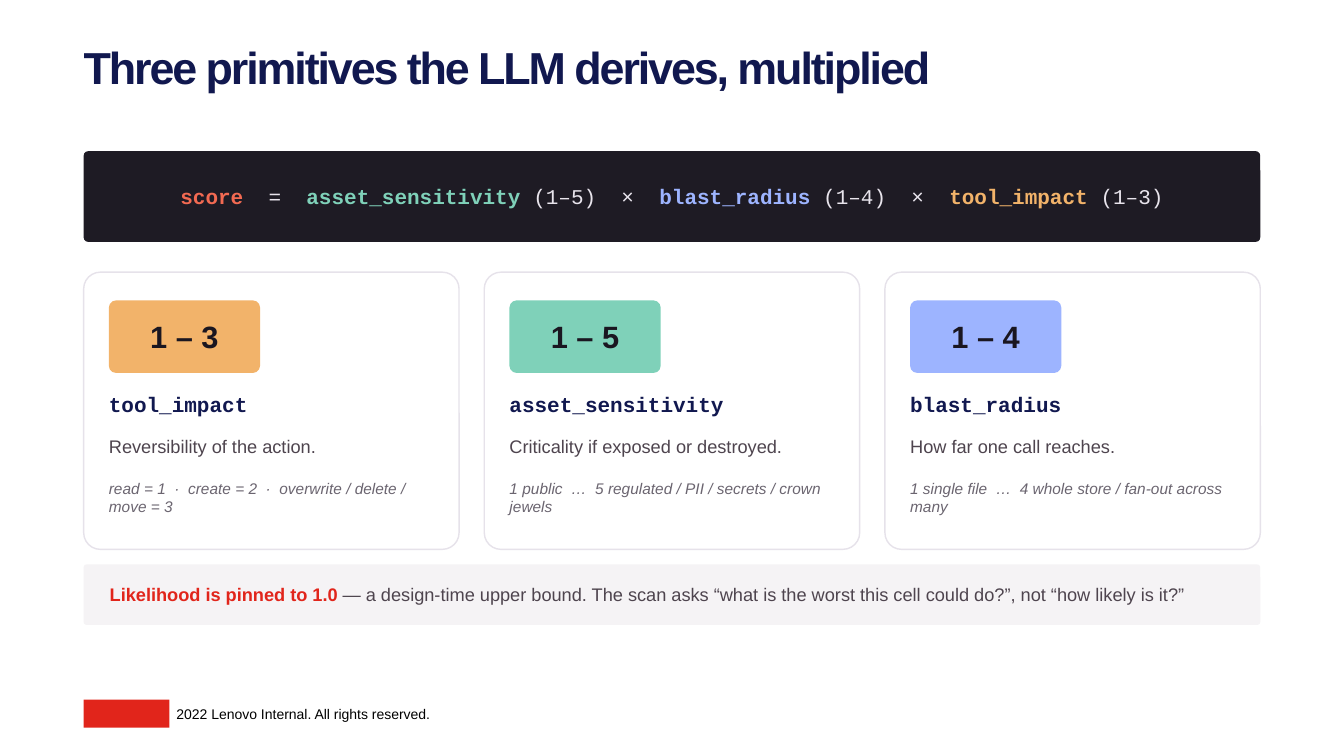
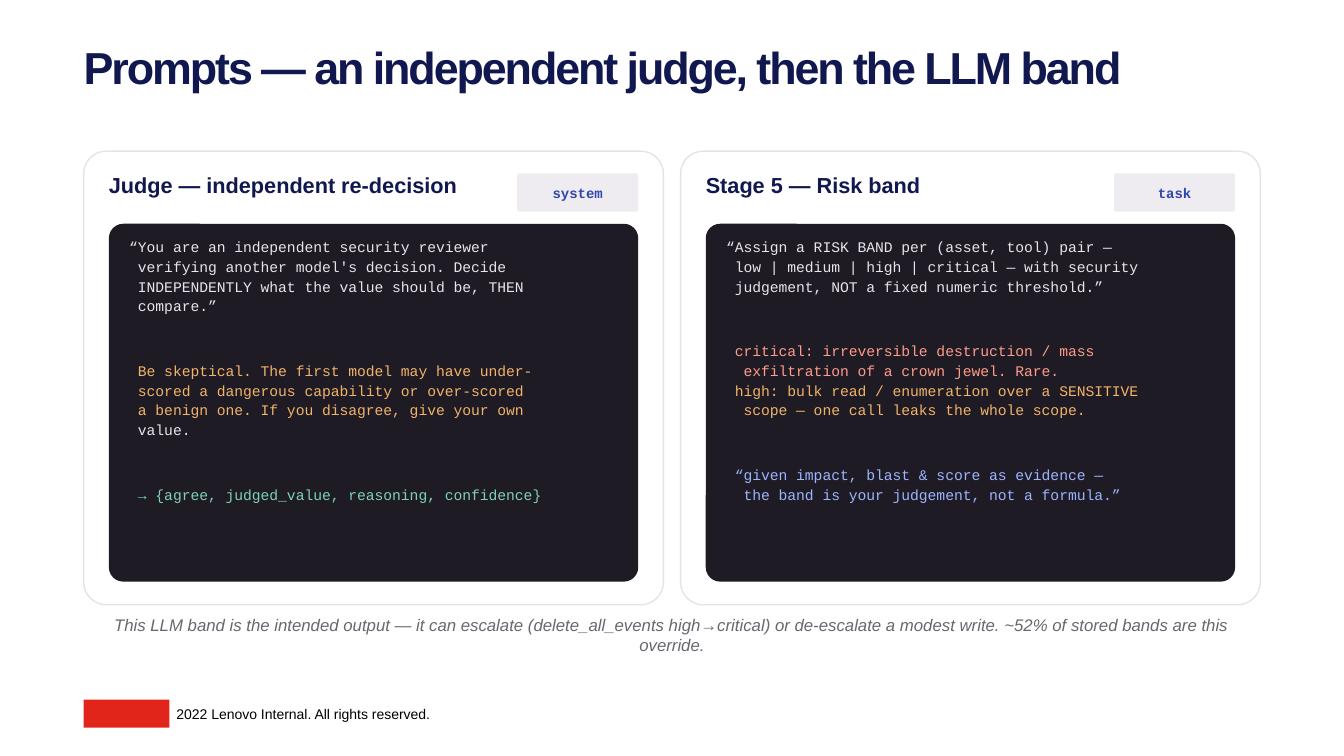
from pptx import Presentation
from pptx.dml.color import RGBColor
from pptx.enum.shapes import MSO_SHAPE
from pptx.enum.text import MSO_ANCHOR, PP_ALIGN
from pptx.util import Inches, Pt

NAVY, RED, INK, WHITE = "11184F", "E1251B", "1A1620", "FFFFFF"
BODY, MUTED, BORDER, NOTE_FILL = "4E444E", "6B6570", "E6E2EA", "F5F3F5"
TAG_FILL, TAG_TEXT = "EFECF1", "3046AD"
DARK, LIGHT = "1E1B24", "E8E4EC"
CORAL, SALMON, AMBER, MINT, PERIWINKLE = "F26A52", "FF9C8A", "F2B36A", "7FD1B9", "9DB4FF"
SANS, MONO = "Arial", "Courier New"

LEFT, CONTENT_WIDTH, CONTENT_TOP, PADDING = 0.83, 11.67, 1.5, 0.25
FOOTER = "2022 Lenovo Internal. All rights reserved."

SCORE_TITLE = "Three primitives the LLM derives, multiplied"
# Runs are (text, colour, bold).
FORMULA = [
    ("score", CORAL, True), ("  =  ", LIGHT, False),
    ("asset_sensitivity", MINT, True), (" (1–5)  ×  ", LIGHT, False),
    ("blast_radius", PERIWINKLE, True), (" (1–4)  ×  ", LIGHT, False),
    ("tool_impact", AMBER, True), (" (1–3)", LIGHT, False),
]
PRIMITIVES = [
    ("1 – 3", AMBER, "tool_impact", "Reversibility of the action.",
     "read = 1  ·  create = 2  ·  overwrite / delete / move = 3"),
    ("1 – 5", MINT, "asset_sensitivity", "Criticality if exposed or destroyed.",
     "1 public  …  5 regulated / PII / secrets / crown jewels"),
    ("1 – 4", PERIWINKLE, "blast_radius", "How far one call reaches.",
     "1 single file  …  4 whole store / fan-out across many"),
]
LIKELIHOOD = [
    ("Likelihood is pinned to 1.0 ", RED, True),
    ("— a design-time upper bound. The scan asks “what is the worst this cell could do?”, "
     "not “how likely is it?”", BODY, False),
]

PROMPTS_TITLE = "Prompts — an independent judge, then the LLM band"
# Each prompt is a list of blocks; a block is a list of (line, colour).
PROMPTS = [
    ("Judge — independent re-decision", "system", [
        [("“You are an independent security reviewer", LIGHT),
         (" verifying another model's decision. Decide", LIGHT),
         (" INDEPENDENTLY what the value should be, THEN", LIGHT),
         (" compare.”", LIGHT)],
        [(" Be skeptical. The first model may have under-", AMBER),
         (" scored a dangerous capability or over-scored", AMBER),
         (" a benign one. If you disagree, give your own", AMBER),
         (" value.", LIGHT)],
        [(" → {agree, judged_value, reasoning, confidence}", MINT)],
    ]),
    ("Stage 5 — Risk band", "task", [
        [("“Assign a RISK BAND per (asset, tool) pair —", LIGHT),
         (" low | medium | high | critical — with security", LIGHT),
         (" judgement, NOT a fixed numeric threshold.”", LIGHT)],
        [(" critical: irreversible destruction / mass", SALMON),
         ("  exfiltration of a crown jewel. Rare.", SALMON),
         (" high: bulk read / enumeration over a SENSITIVE", AMBER),
         ("  scope — one call leaks the whole scope.", AMBER)],
        [(" “given impact, blast & score as evidence —", PERIWINKLE),
         ("  the band is your judgement, not a formula.”", PERIWINKLE)],
    ]),
]
OVERRIDE_NOTE = (
    "This LLM band is the intended output — it can escalate (delete_all_events high→critical) "
    "or de-escalate a modest write. ~52% of stored bands are this override."
)


def rgb(value):
    return RGBColor.from_string(value)


def set_up_frame(shape, margin_x=0, margin_y=0, anchor=MSO_ANCHOR.TOP):
    frame = shape.text_frame
    frame.word_wrap = True
    frame.vertical_anchor = anchor
    frame.margin_left = frame.margin_right = Inches(margin_x)
    frame.margin_top = frame.margin_bottom = Inches(margin_y)
    return frame


def style(paragraph, size, color, font=SANS, bold=False, italic=False, align=PP_ALIGN.LEFT):
    paragraph.alignment = align
    paragraph.font.size = Pt(size)
    paragraph.font.name = font
    paragraph.font.bold = bold
    paragraph.font.italic = italic
    paragraph.font.color.rgb = rgb(color)


def add_text(slide, text, left, top, width, height, size, color, **options):
    box = slide.shapes.add_textbox(Inches(left), Inches(top), Inches(width), Inches(height))
    paragraph = set_up_frame(box).paragraphs[0]
    paragraph.text = text
    style(paragraph, size, color, **options)
    return paragraph


def add_panel(slide, left, top, width, height, fill, corner=0.05, border=None):
    """Add a rounded rectangle; corner 0 gives a plain one."""
    kind = MSO_SHAPE.ROUNDED_RECTANGLE if corner else MSO_SHAPE.RECTANGLE
    panel = slide.shapes.add_shape(kind, Inches(left), Inches(top), Inches(width), Inches(height))
    if corner:
        panel.adjustments[0] = corner
    panel.shadow.inherit = False
    panel.fill.solid()
    panel.fill.fore_color.rgb = rgb(fill)
    if border:
        panel.line.color.rgb = rgb(border)
        panel.line.width = Pt(1)
    else:
        panel.line.fill.background()
    return panel


def fill_label(panel, text, size, color, font=SANS):
    paragraph = set_up_frame(panel, anchor=MSO_ANCHOR.MIDDLE).paragraphs[0]
    paragraph.text = text
    style(paragraph, size, color, font, bold=True, align=PP_ALIGN.CENTER)


def fill_runs(panel, runs, size, font, align, margin_x=0):
    paragraph = set_up_frame(panel, margin_x, anchor=MSO_ANCHOR.MIDDLE).paragraphs[0]
    style(paragraph, size, runs[0][1], font, align=align)
    for text, color, bold in runs:
        run = paragraph.add_run()
        run.text = text
        run.font.bold = bold
        run.font.color.rgb = rgb(color)


def fill_prompt(panel, blocks):
    frame = set_up_frame(panel, 0.16, 0.08)
    paragraph = None
    for block in blocks:
        for number, (line, color) in enumerate(block):
            starts_later_block = paragraph is not None and number == 0
            paragraph = frame.paragraphs[0] if paragraph is None else frame.add_paragraph()
            paragraph.text = line
            paragraph.line_spacing = 1.12
            if starts_later_block:
                paragraph.space_before = Pt(32)
            style(paragraph, 10.5, color, MONO)


def columns(count, gap):
    """Return the left edges and the common width of equal columns."""
    width = (CONTENT_WIDTH - gap * (count - 1)) / count
    return [LEFT + i * (width + gap) for i in range(count)], width


def add_slide(deck, title):
    slide = deck.slides.add_slide(deck.slide_layouts[6])
    add_panel(slide, LEFT, 6.94, 0.85, 0.28, RED, corner=0)
    add_text(slide, FOOTER, 1.75, 7, 4.5, 0.17, 10, "000000")
    heading = add_text(slide, title, LEFT, 0.48, CONTENT_WIDTH, 0.46, 32, NAVY, bold=True)
    heading.line_spacing = 0.85
    heading.runs[0].font._element.set("spc", "-150")
    return slide


def add_primitive(slide, left, width, primitive):
    scale, accent, name, meaning, levels = primitive
    add_panel(slide, left, 2.7, width, 2.75, WHITE, 0.06, BORDER)
    inner_left, inner_width = left + PADDING, width - 2 * PADDING
    fill_label(add_panel(slide, inner_left, 2.98, 1.5, 0.72, accent, 0.1), scale, 22, INK)
    add_text(slide, name, inner_left, 3.88, inner_width, 0.4, 15, NAVY, font=MONO, bold=True)
    add_text(slide, meaning, inner_left, 4.32, inner_width, 0.5, 13, BODY)
    add_text(slide, levels, inner_left, 4.75, inner_width, 0.6, 11, MUTED, italic=True)


def add_prompt(slide, left, width, prompt):
    heading, role, blocks = prompt
    add_panel(slide, left, CONTENT_TOP, width, 4.5, WHITE, 0.05, BORDER)
    inner_left, inner_width, tag_width = left + PADDING, width - 2 * PADDING, 1.2
    add_text(slide, heading, inner_left, 1.7, 4.15, 0.4, 15.5, NAVY, bold=True)
    tag_left = inner_left + inner_width - tag_width
    tag = add_panel(slide, tag_left, 1.72, tag_width, 0.38, TAG_FILL, 0.06)
    fill_label(tag, role, 10, TAG_TEXT, MONO)
    fill_prompt(add_panel(slide, inner_left, 2.22, inner_width, 3.55, DARK, 0.04), blocks)


def build_score_slide(deck):
    slide = add_slide(deck, SCORE_TITLE)
    formula = add_panel(slide, LEFT, CONTENT_TOP, CONTENT_WIDTH, 0.9, DARK)
    fill_runs(formula, FORMULA, 15, MONO, PP_ALIGN.CENTER)
    lefts, width = columns(len(PRIMITIVES), 0.25)
    for left, primitive in zip(lefts, PRIMITIVES):
        add_primitive(slide, left, width, primitive)
    note = add_panel(slide, LEFT, 5.6, CONTENT_WIDTH, 0.6, NOTE_FILL)
    fill_runs(note, LIKELIHOOD, 13, SANS, PP_ALIGN.LEFT, PADDING)


def build_prompts_slide(deck):
    slide = add_slide(deck, PROMPTS_TITLE)
    lefts, width = columns(len(PROMPTS), 0.17)
    for left, prompt in zip(lefts, PROMPTS):
        add_prompt(slide, left, width, prompt)
    add_text(slide, OVERRIDE_NOTE, LEFT, 6.1, CONTENT_WIDTH, 0.4, 12, MUTED,
             italic=True, align=PP_ALIGN.CENTER)


def main():
    deck = Presentation()
    deck.slide_width, deck.slide_height = Inches(13.33), Inches(7.5)
    build_score_slide(deck)
    build_prompts_slide(deck)
    deck.save("out.pptx")


if __name__ == "__main__":
    main()
